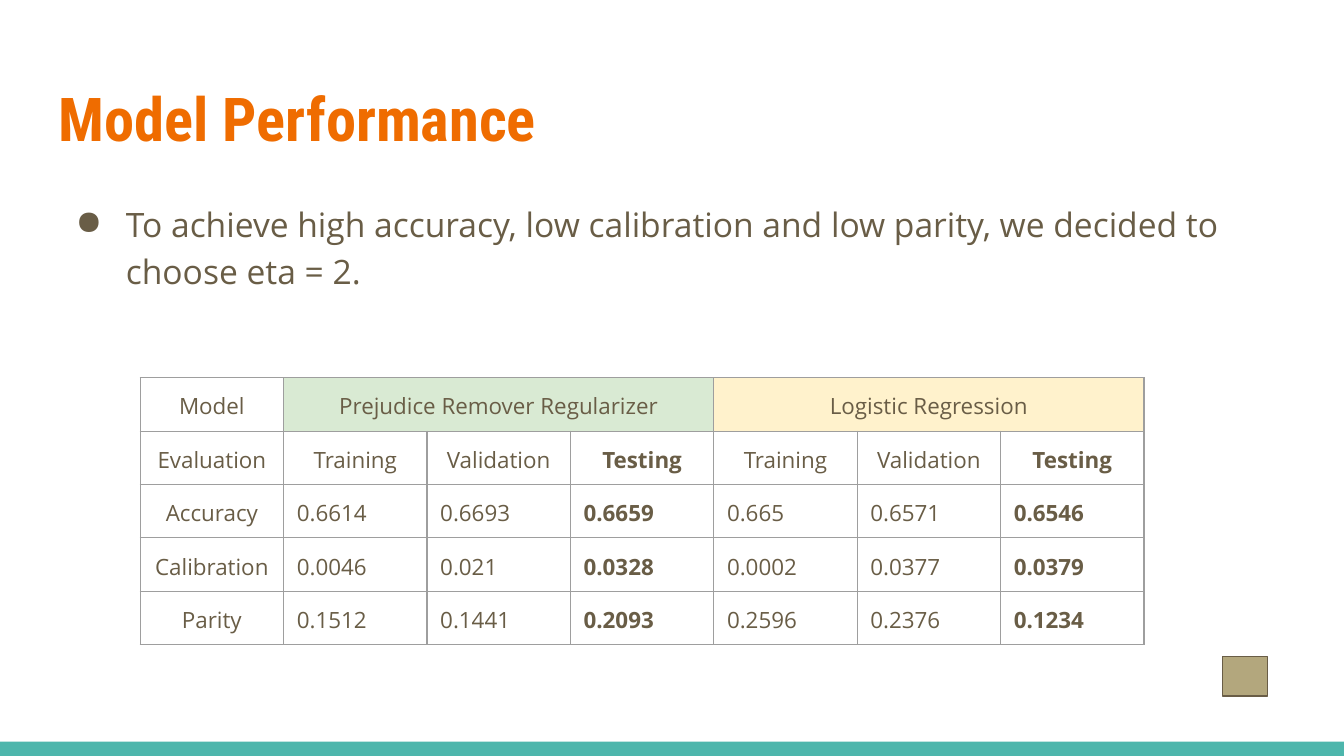
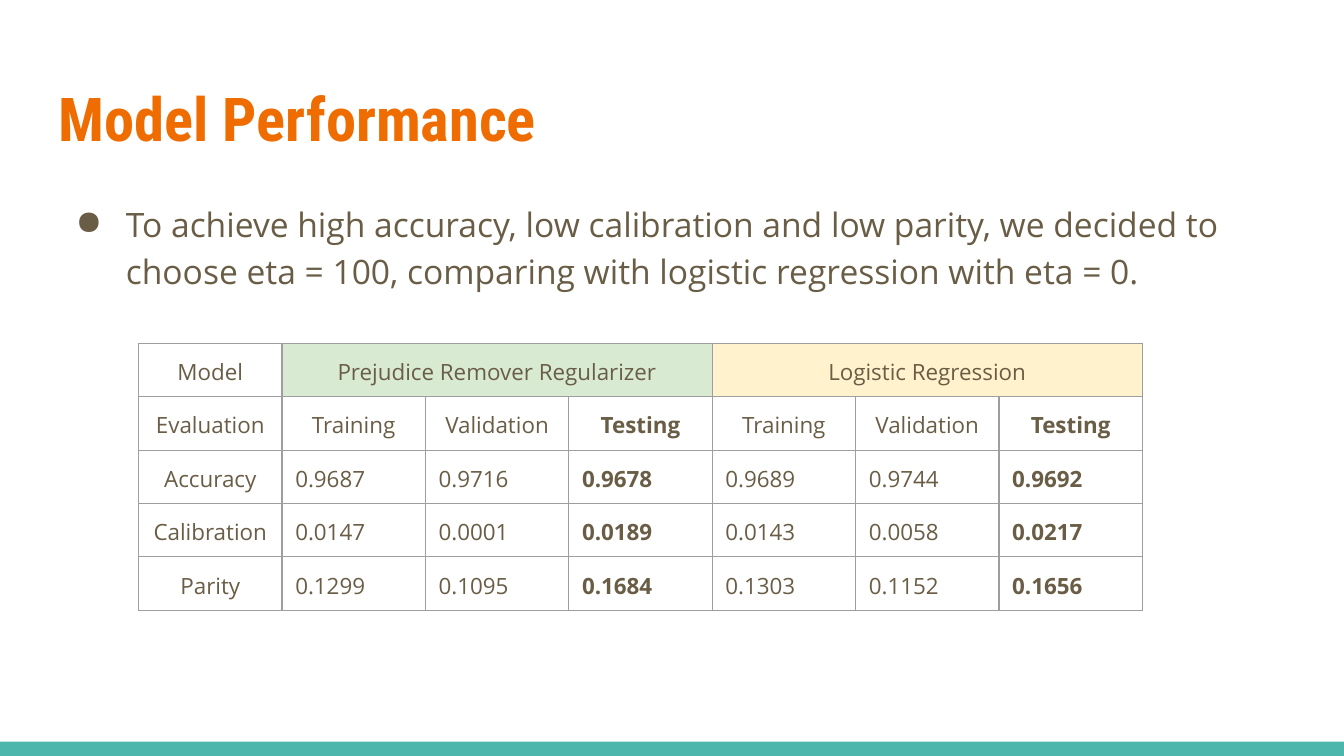
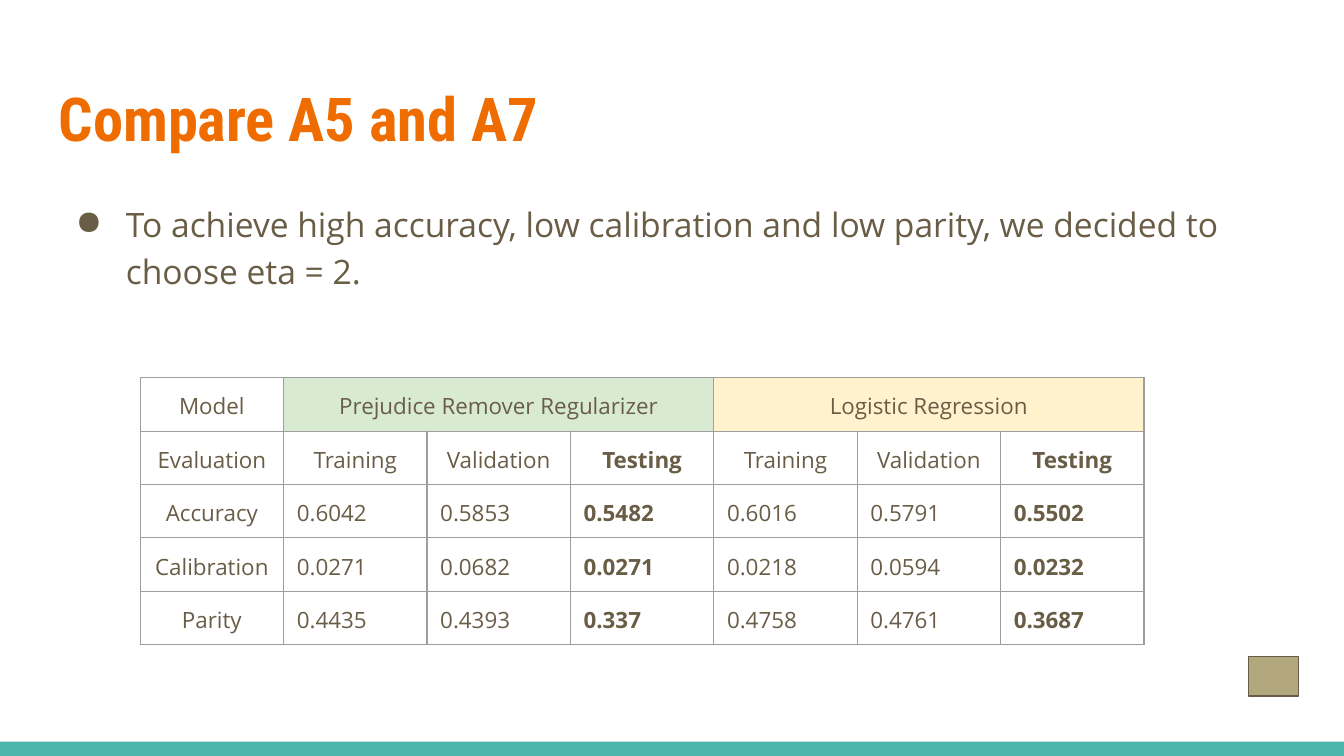
from lxml import etree
from pptx import Presentation
from pptx import util as u
from pptx.dml import color
from pptx.enum import shapes, text
from pptx.oxml import ns

COLORS = {
    "accent": "EF6C00", "body": "695D46", "band": "4DB6AC", "box": "B3A77D",
    "grid": "9E9E9E", "regularizer": "D9EAD3", "logistic": "FFF2CC",
}
TITLE = {"name": "Roboto Condensed", "size": u.Pt(32.4), "bold": True}
BODY = {"name": "Open Sans", "size": u.Pt(18), "bold": False}
CELL = {"name": "Open Sans", "size": u.Pt(12)}
MARGINS = {f"margin_{side}": u.Cm(0.25) for side in ("left", "right", "top", "bottom")}

GOAL = "To achieve high accuracy, low calibration and low parity, we decided to choose eta = "
HEADER = ["Model", "Prejudice Remover Regularizer", "", "", "Logistic Regression", "", ""]
SPLITS = ["Evaluation"] + ["Training", "Validation", "Testing"] * 2
MEASURES = ["Accuracy", "Calibration", "Parity"]
GROUPS = {1: "regularizer", 4: "logistic"}

SLIDES = [
    {
        "title": "Model Performance", "point": GOAL + "2.",
        "table_at": (2.65, 7.14), "box": (23.1, 0.86),
        "scores": [
            "0.6614 0.6693 0.6659 0.665 0.6571 0.6546",
            "0.0046 0.021 0.0328 0.0002 0.0377 0.0379",
            "0.1512 0.1441 0.2093 0.2596 0.2376 0.1234",
        ],
    },
    {
        "title": "Model Performance",
        "point": GOAL + "100, comparing with logistic regression with eta = 0.",
        "table_at": (2.62, 6.49), "box": None,
        "scores": [
            "0.9687 0.9716 0.9678 0.9689 0.9744 0.9692",
            "0.0147 0.0001 0.0189 0.0143 0.0058 0.0217",
            "0.1299 0.1095 0.1684 0.1303 0.1152 0.1656",
        ],
    },
    {
        "title": "Compare A5 and A7", "point": GOAL + "2.",
        "table_at": (2.65, 7.14), "box": (23.6, 0.94),
        "scores": [
            "0.6042 0.5853 0.5482 0.6016 0.5791 0.5502",
            "0.0271 0.0682 0.0271 0.0218 0.0594 0.0232",
            "0.4435 0.4393 0.337 0.4758 0.4761 0.3687",
        ],
    },
]


def rgb(name):
    return color.RGBColor.from_string(COLORS[name])


def set_all(target, values):
    for key, value in values.items():
        setattr(target, key, value)


class Deck:
    def __init__(self):
        self.prs = Presentation()
        set_all(self.prs, {"slide_width": u.Cm(25.4), "slide_height": u.Cm(14.29)})
        self.s = None

    def new_slide(self):
        self.s = self.prs.slides.add_slide(self.prs.slide_layouts[6])
        self.rect(0, 14.02, 25.4, 0.27, "band")

    def rect(self, x, y, w, h, fill, line=None):
        sp = self.s.shapes.add_shape(
            shapes.MSO_SHAPE.RECTANGLE, u.Cm(x), u.Cm(y), u.Cm(w), u.Cm(h))
        sp.shadow.inherit = False
        sp.fill.solid()
        sp.fill.fore_color.rgb = rgb(fill)
        if line:
            sp.line.color.rgb = rgb(line)
            sp.line.width = u.Pt(0.75)
        else:
            sp.line.fill.background()

    def add_words(self, p, words, font, ink):
        r = p.add_run()
        r.text = words
        set_all(r.font, font)
        r.font.color.rgb = rgb(ink)

    def text_box(self, y, h, words, font, ink, anchor):
        tf = self.s.shapes.add_textbox(u.Cm(0.86), u.Cm(y), u.Cm(23.67), u.Cm(h)).text_frame
        set_all(tf, {**MARGINS, "word_wrap": True, "vertical_anchor": anchor})
        self.add_words(tf.paragraphs[0], words, font, ink)
        return tf.paragraphs[0]

    def title(self, words):
        self.text_box(1.24, 1.96, words, TITLE, "accent", text.MSO_ANCHOR.MIDDLE)

    def bullet(self, words):
        p = self.text_box(3.5, 9.17, words, BODY, "body", text.MSO_ANCHOR.TOP)
        p.line_spacing = 1.15
        pPr = p._p.get_or_add_pPr()
        pPr.set("marL", str(u.Cm(1.27)))
        pPr.set("indent", str(u.Cm(-0.95)))
        tint = etree.SubElement(pPr, ns.qn("a:buClr"))
        etree.SubElement(tint, ns.qn("a:srgbClr"), val=COLORS["body"])
        etree.SubElement(pPr, ns.qn("a:buChar"), char="●")

    def borders(self, cell):
        tcPr = cell._tc.get_or_add_tcPr()
        for i, side in enumerate(("lnL", "lnR", "lnT", "lnB")):
            ln = etree.Element(ns.qn(f"a:{side}"), w=str(u.Pt(0.75)))
            fill = etree.SubElement(ln, ns.qn("a:solidFill"))
            etree.SubElement(fill, ns.qn("a:srgbClr"), val=COLORS["grid"])
            tcPr.insert(i, ln)

    def table(self, x, y, rows):
        n_rows, n_cols = len(rows), len(rows[0])
        table = self.s.shapes.add_table(
            n_rows, n_cols, u.Cm(x), u.Cm(y), u.Cm(2.71 * n_cols), u.Cm(n_rows)).table
        set_all(table, {"first_row": False, "horz_banding": False})
        for i, row in enumerate(rows):
            for j, words in enumerate(row):
                cell = table.cell(i, j)
                set_all(cell, MARGINS)
                if i == 0 and j in GROUPS:
                    cell.fill.solid()
                    cell.fill.fore_color.rgb = rgb(GROUPS[j])
                else:
                    cell.fill.background()
                self.borders(cell)
                if words:
                    p = cell.text_frame.paragraphs[0]
                    if i < 2 or j == 0:
                        p.alignment = text.PP_ALIGN.CENTER
                    testing = i > 0 and SPLITS[j] == "Testing"
                    self.add_words(p, words, {**CELL, "bold": testing}, "body")
        for j in GROUPS:
            table.cell(0, j).merge(table.cell(0, j + 2))


def main():
    deck = Deck()
    for content in SLIDES:
        deck.new_slide()
        deck.title(content["title"])
        deck.bullet(content["point"])
        scores = [[m, *line.split()] for m, line in zip(MEASURES, content["scores"])]
        deck.table(*content["table_at"], [HEADER, SPLITS, *scores])
        if content["box"]:
            x, w = content["box"]
            deck.rect(x, 12.41, w, 0.75, "box", "body")
    deck.prs.save("out.pptx")


if __name__ == "__main__":
    main()
